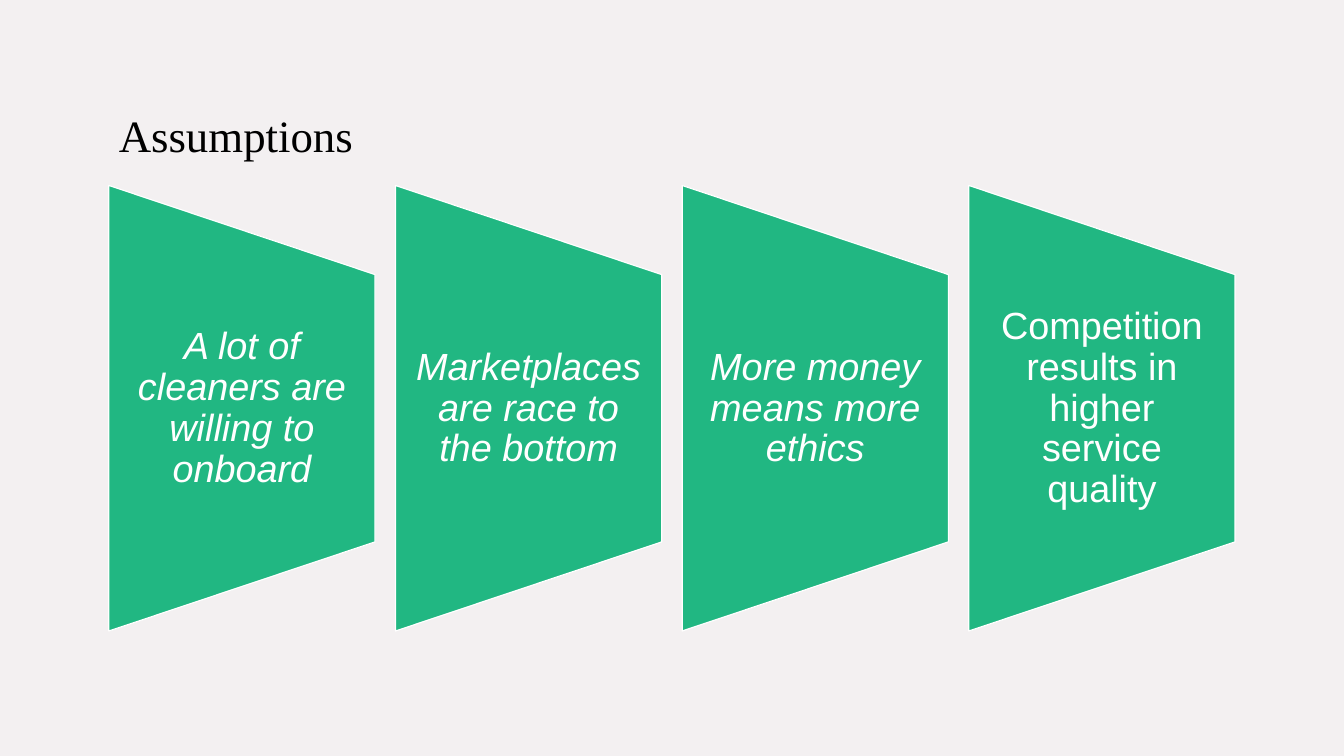
from dataclasses import dataclass

import pptx
import pptx.dml.color
import pptx.enum.shapes
import pptx.enum.text
import pptx.util

Inches = pptx.util.Inches
Pt = pptx.util.Pt
ALIGN = pptx.enum.text.PP_ALIGN
ANCHOR = pptx.enum.text.MSO_ANCHOR

BACKGROUND, GREEN, WHITE, BLACK = "F3F0F1", "21B782", "FFFFFF", "000000"
LEFT, TOP, PITCH = 1.08, 2.73, 2.843
PANEL_WIDTH, PANEL_HEIGHT, TEXT_HEIGHT = 2.64, 4.42, 2.65


@dataclass
class Assumption:
    wording: str
    italic: bool = True


ASSUMPTIONS = [
    Assumption("A lot of cleaners are willing to onboard"),
    Assumption("Marketplaces are race to the bottom"),
    Assumption("More money means more ethics"),
    Assumption("Competition results in higher service quality", italic=False),
]


def rgb(value: str) -> pptx.dml.color.RGBColor:
    return pptx.dml.color.RGBColor.from_string(value)


def add_text(slide, text: str, left: float, top: float, width: float, height: float, *,
             size: float, font: str, color: str, italic: bool = False,
             align=ALIGN.LEFT, anchor=ANCHOR.MIDDLE, side_inset: float = 0.1,
             end_inset: float = 0.05, line_spacing: float = 1.0) -> None:
    box = slide.shapes.add_textbox(Inches(left), Inches(top), Inches(width), Inches(height))
    frame = box.text_frame
    frame.word_wrap = True
    frame.vertical_anchor = anchor
    frame.margin_left = frame.margin_right = Inches(side_inset)
    frame.margin_top = frame.margin_bottom = Inches(end_inset)
    paragraph = frame.paragraphs[0]
    paragraph.alignment = align
    paragraph.line_spacing = line_spacing
    run = paragraph.add_run()
    run.text = text
    run.font.size = Pt(size)
    run.font.name = font
    run.font.italic = italic
    run.font.color.rgb = rgb(color)


def add_assumption(slide, assumption: Assumption, left: float) -> None:
    # Turned a quarter left, the trapezoid's wide side faces left
    panel = slide.shapes.add_shape(
        pptx.enum.shapes.MSO_SHAPE.FLOWCHART_MANUAL_OPERATION,
        Inches(left - (PANEL_HEIGHT - PANEL_WIDTH) / 2), Inches(TOP),
        Inches(PANEL_HEIGHT), Inches(PANEL_WIDTH))
    panel.rotation = 270
    panel.shadow.inherit = False
    panel.fill.solid()
    panel.fill.fore_color.rgb = rgb(GREEN)
    panel.line.color.rgb = rgb(WHITE)
    panel.line.width = Pt(0.85)
    add_text(slide, assumption.wording, left, TOP, PANEL_WIDTH, TEXT_HEIGHT,
             size=27, font="Arial", color=WHITE, italic=assumption.italic,
             align=ALIGN.CENTER, side_inset=0.19, end_inset=0, line_spacing=0.9)


def main() -> None:
    deck = pptx.Presentation()
    deck.slide_width, deck.slide_height = Inches(13.33), Inches(7.5)
    slide = deck.slides.add_slide(deck.slide_layouts[6])
    slide.background.fill.solid()
    slide.background.fill.fore_color.rgb = rgb(BACKGROUND)

    # Title
    add_text(slide, "Assumptions", LEFT, 0.43, 11.17, 1.22, size=32,
             font="Times New Roman", color=BLACK, anchor=ANCHOR.BOTTOM)

    # Row of assumptions
    for index, assumption in enumerate(ASSUMPTIONS):
        add_assumption(slide, assumption, LEFT + index * PITCH)

    deck.save("out.pptx")


if __name__ == "__main__":
    main()
